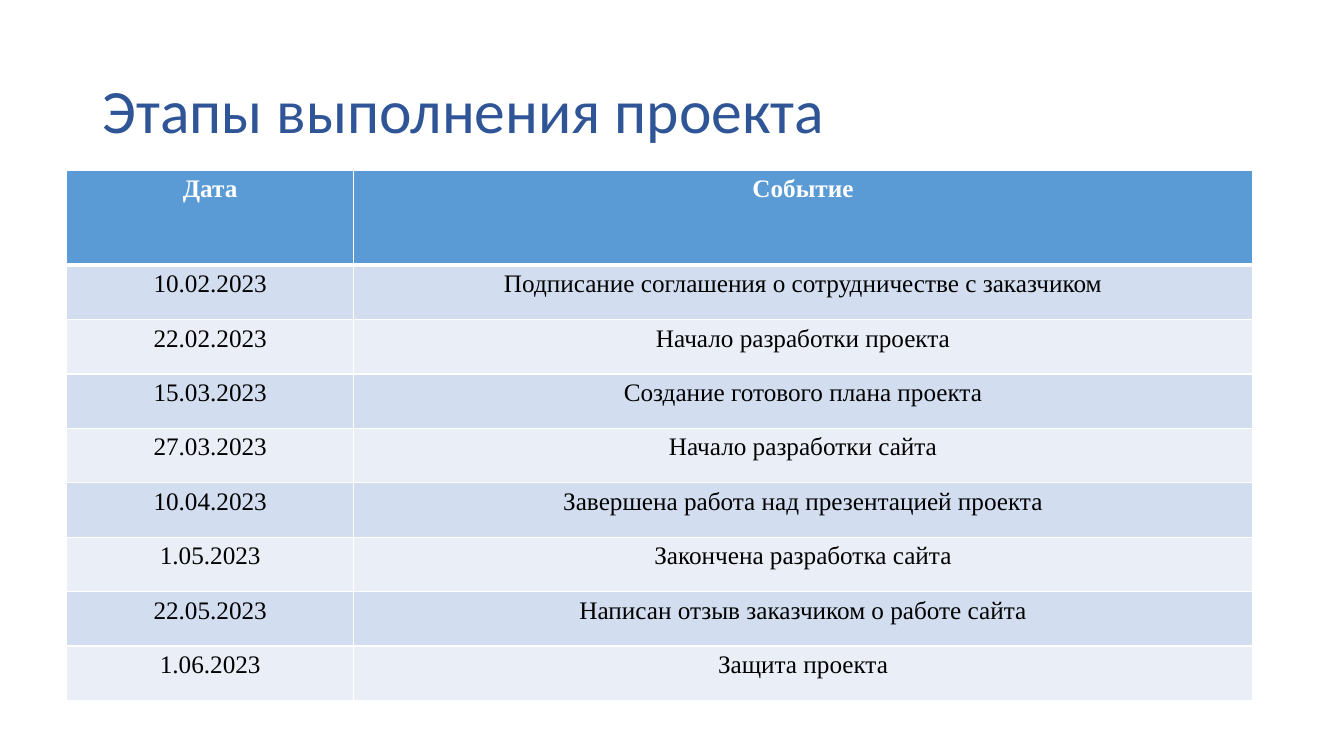
from dataclasses import dataclass

from lxml import etree
from pptx import Presentation
from pptx.dml.color import RGBColor
from pptx.enum.text import MSO_ANCHOR, PP_ALIGN
from pptx.oxml.ns import qn
from pptx.util import Inches, Pt

MIDDLE = MSO_ANCHOR.MIDDLE
CENTER = PP_ALIGN.CENTER
BLANK_LAYOUT = 6


@dataclass(frozen=True)
class Theme:
    title_font: str = "Calibri"
    table_font: str = "Times New Roman"
    title_size: int = 44
    table_size: int = 18
    title_color: str = "2F5597"
    header_fill: str = "5B9BD5"
    header_text: str = "FFFFFF"
    body_text: str = "000000"
    bands: tuple = ("D2DEEF", "EAEFF7")
    border: str = "FFFFFF"
    thin: int = 1
    thick: int = 3


THEME = Theme()

HEADER = ("Дата", "Событие")
STAGES = [
    ("10.02.2023", "Подписание соглашения о сотрудничестве с заказчиком"),
    ("22.02.2023", "Начало разработки проекта"),
    ("15.03.2023", "Создание готового плана проекта"),
    ("27.03.2023", "Начало разработки сайта"),
    ("10.04.2023", "Завершена работа над презентацией проекта"),
    ("1.05.2023", "Закончена разработка сайта"),
    ("22.05.2023", "Написан отзыв заказчиком о работе сайта"),
    ("1.06.2023", "Защита проекта"),
]


def style_font(paragraph, name, size, color, bold=False):
    font = paragraph.font
    font.name, font.size, font.bold = name, Pt(size), bold
    font.color.rgb = RGBColor.from_string(color)


def add_title(slide, box, text):
    frame = slide.shapes.add_textbox(*map(Inches, box)).text_frame
    frame.word_wrap = True
    frame.vertical_anchor = MIDDLE
    title = frame.paragraphs[0]
    title.text = text
    title.line_spacing = 0.9
    style_font(title, THEME.title_font, THEME.title_size, THEME.title_color)


def add_borders(cell, top, bottom):
    """Draw the four sides of a cell; call before filling it."""
    properties = cell._tc.get_or_add_tcPr()
    widths = {"a:lnL": THEME.thin, "a:lnR": THEME.thin, "a:lnT": top, "a:lnB": bottom}
    for side, width in widths.items():
        line = etree.SubElement(properties, qn(side), w=str(Pt(width)))
        fill = etree.SubElement(line, qn("a:solidFill"))
        etree.SubElement(fill, qn("a:srgbClr"), val=THEME.border)


def add_stage_table(slide, box, header, stages, date_share, header_share):
    left, top, width, height = map(Inches, box)
    rows = [header, *stages]
    table = slide.shapes.add_table(len(rows), len(header), left, top, width, height).table

    # Column widths and row heights as shares of the box
    table.columns[0].width = int(width * date_share)
    table.columns[1].width = width - table.columns[0].width
    header_height = int(height * header_share)
    stage_height = (height - header_height) // len(stages)

    for r, values in enumerate(rows):
        is_header = r == 0
        table.rows[r].height = header_height if is_header else stage_height
        fill = THEME.header_fill if is_header else THEME.bands[(r - 1) % 2]
        color = THEME.header_text if is_header else THEME.body_text
        for c, value in enumerate(values):
            cell = table.cell(r, c)
            add_borders(cell,
                        top=THEME.thick if r == 1 else THEME.thin,
                        bottom=THEME.thick if is_header else THEME.thin)
            cell.fill.solid()
            cell.fill.fore_color.rgb = RGBColor.from_string(fill)
            paragraph = cell.text_frame.paragraphs[0]
            paragraph.text = value
            paragraph.alignment = CENTER
            style_font(paragraph, THEME.table_font, THEME.table_size, color, is_header)


def main():
    presentation = Presentation()
    presentation.slide_width = Inches(13.33)
    presentation.slide_height = Inches(7.5)
    slide = presentation.slides.add_slide(presentation.slide_layouts[BLANK_LAYOUT])

    add_title(slide, (0.92, 0.4, 11.5, 1.45), "Этапы выполнения проекта")
    add_stage_table(slide, (0.66, 1.69, 11.76, 5.26), HEADER, STAGES,
                    date_share=2.85 / 11.76, header_share=0.94 / 5.26)

    presentation.save("out.pptx")


if __name__ == "__main__":
    main()
